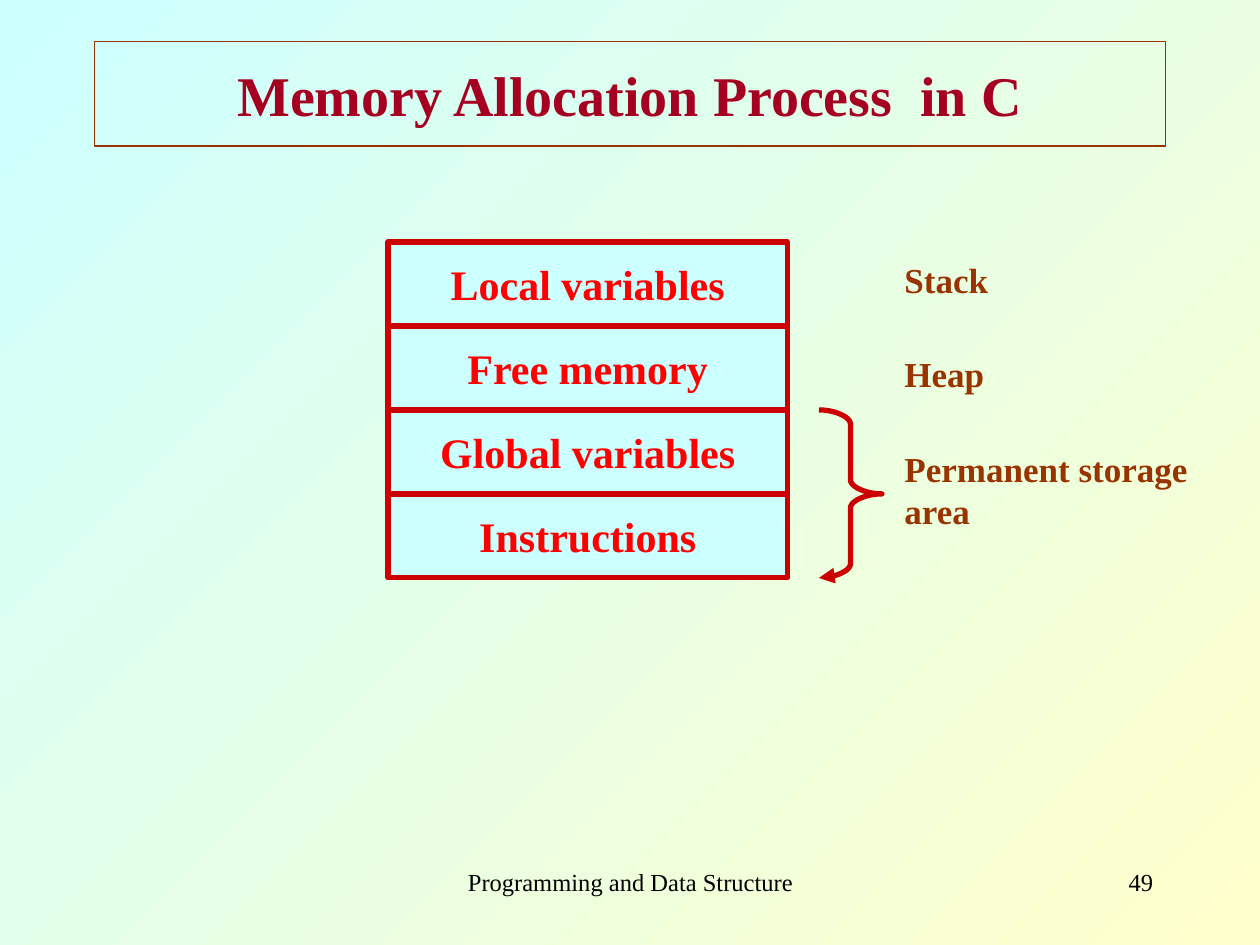
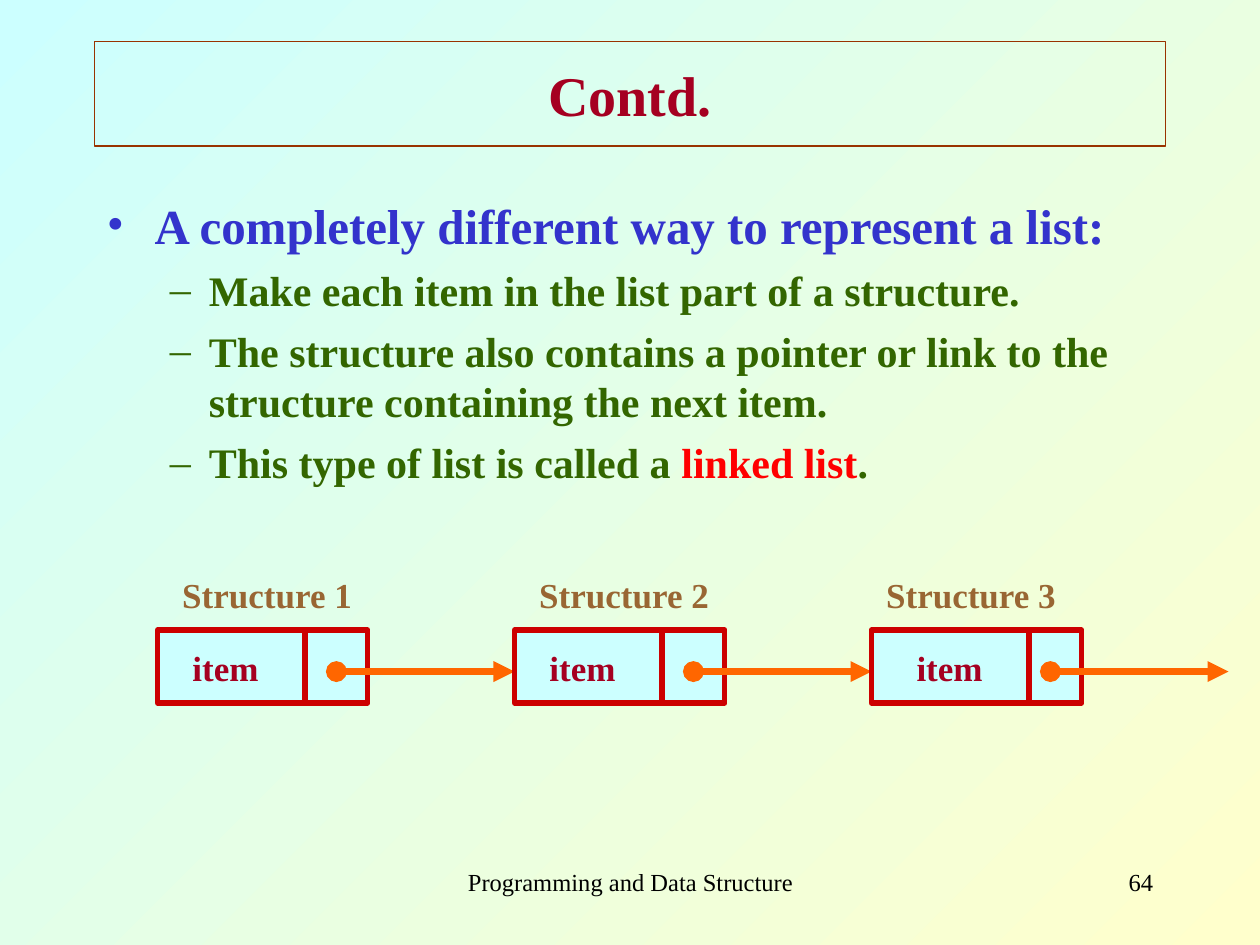
from dataclasses import dataclass

from lxml.etree import SubElement
from pptx import Presentation
from pptx.dml.color import RGBColor
from pptx.enum.shapes import MSO_CONNECTOR, MSO_SHAPE
from pptx.enum.text import MSO_ANCHOR as Anchor, MSO_AUTO_SIZE as AutoSize, PP_ALIGN as Align
from pptx.oxml.ns import qn
from pptx.util import Inches, Pt

FONT = "Times New Roman"
AQUA = RGBColor(0xCC, 0xFF, 0xFF)
CREAM = RGBColor(0xFF, 0xFF, 0xCC)
BLACK = RGBColor(0x00, 0x00, 0x00)
CRIMSON = RGBColor(0xA5, 0x00, 0x21)
DARK_RED = RGBColor(0xCC, 0x00, 0x00)
RED = RGBColor(0xFF, 0x00, 0x00)
RUST = RGBColor(0x99, 0x33, 0x00)
BROWN = RGBColor(0x99, 0x66, 0x33)
ORANGE = RGBColor(0xFF, 0x66, 0x00)
BLUE = RGBColor(0x33, 0x33, 0xCC)
GREEN = RGBColor(0x33, 0x66, 0x00)

FOOTER = "Programming and Data Structure"
TITLE_ONLY = 5


@dataclass(frozen=True)
class Area:
    left: float
    top: float
    width: float
    height: float

    def lengths(self) -> list:
        return [Inches(v) for v in (self.left, self.top, self.width, self.height)]


@dataclass(frozen=True)
class TextStyle:
    size: int
    color: RGBColor
    bold: bool = True
    align: Align = Align.LEFT


@dataclass(frozen=True)
class BulletStyle:
    mark: str
    margin: float
    hang: float
    before: int
    text: TextStyle


@dataclass(frozen=True)
class ListNode:
    """Offsets are measured from the left edge of the node's box."""
    name: str
    name_offset: float = -0.17
    item_offset: float = 0
    divider_offset: float = 1.17


TITLE = TextStyle(32, CRIMSON, align=Align.CENTER)
FOOTER_TEXT = TextStyle(14, BLACK, False, Align.CENTER)
PAGE_NUMBER = TextStyle(14, BLACK, False, Align.RIGHT)
SEGMENT = TextStyle(24, RED, align=Align.CENTER)
REGION = TextStyle(20, RUST)
NODE_NAME = TextStyle(20, BROWN, align=Align.CENTER)
NODE_ITEM = TextStyle(20, CRIMSON, align=Align.CENTER)
POINT = BulletStyle("•", 0.38, 0.38, 7, TextStyle(28, BLUE))
SUBPOINT = BulletStyle("–", 0.81, 0.31, 6, TextStyle(24, GREEN))

SEGMENTS = ["Local variables", "Free memory", "Global variables", "Instructions"]
REGIONS = [
    ("Stack", Area(7.08, 2, 2.67, 0.44)),
    ("Heap", Area(7.08, 2.75, 2.67, 0.44)),
    ("Permanent storage area", Area(7.08, 3.5, 2.67, 0.77)),
]
POINTS = [
    (POINT, [("A completely different way to represent a list:", BLUE)]),
    (SUBPOINT, [("Make each item in the list part of a structure.", GREEN)]),
    (SUBPOINT, [("The structure also contains a pointer or link to the "
                 "structure containing the next item.", GREEN)]),
    (SUBPOINT, [("This type of list is called a ", GREEN), ("linked list", RED), (".", GREEN)]),
]
NODES = [
    ListNode("Structure 1"),
    ListNode("Structure 2"),
    ListNode("Structure 3", -0.25, 0.08, 1.25),
]


def add_span(para, text: str, style: TextStyle, color: RGBColor) -> None:
    span = para.add_run()
    span.text = text
    formats = {"name": FONT, "size": Pt(style.size), "bold": style.bold}
    for name, value in formats.items():
        setattr(span.font, name, value)
    span.font.color.rgb = color


def write(frame, text: str, style: TextStyle, **formats) -> None:
    """Fill a text frame with one paragraph; formats are frame attributes."""
    for name, value in ({"word_wrap": True, "auto_size": AutoSize.NONE} | formats).items():
        setattr(frame, name, value)
    para = frame.paragraphs[0]
    para.alignment = style.align
    add_span(para, text, style, style.color)


def add_label(shapes, area: Area, text: str, style: TextStyle) -> None:
    write(shapes.add_textbox(*area.lengths()).text_frame, text, style)


def add_box(shapes, area: Area):
    box = shapes.add_shape(MSO_SHAPE.RECTANGLE, *area.lengths())
    box.shadow.inherit = False
    box.fill.solid()
    box.fill.fore_color.rgb = AQUA
    set_line(box, DARK_RED, 3)
    return box


def set_line(shape, color: RGBColor, width: float, head: str = "", tail: str = "") -> None:
    shape.line.color.rgb = color
    shape.line.width = Pt(width)
    for tag, kind in (("a:headEnd", head), ("a:tailEnd", tail)):
        if kind:
            SubElement(shape.line._get_or_add_ln(), qn(tag), type=kind)


def add_line(shapes, start: tuple, end: tuple, color: RGBColor, width: float,
             head: str = "", tail: str = "") -> None:
    ends = [Inches(v) for v in (*start, *end)]
    line = shapes.add_connector(MSO_CONNECTOR.STRAIGHT, *ends)
    set_line(line, color, width, head, tail)
    SubElement(line._element.spPr, qn("a:effectLst"))


def bezier(*controls: tuple, steps: int = 12) -> list:
    """Points along a cubic curve with four control points."""
    weights = [((1 - t) ** 3, 3 * t * (1 - t) ** 2, 3 * t * t * (1 - t), t ** 3)
               for t in (step / steps for step in range(steps + 1))]
    return [tuple(sum(w * c[axis] for w, c in zip(row, controls)) for axis in (0, 1))
            for row in weights]


def add_brace(shapes, area: Area) -> None:
    """Right brace whose lower half mirrors the upper; an arrowhead ends it."""
    left, top = area.left, area.top
    middle, right = left + area.width / 2, left + area.width
    tip, bend = top + area.height / 2, area.height / 12
    quarter = area.width / 4
    upper = bezier((left, top), (left + quarter, top),
                   (middle, top + bend / 2), (middle, top + bend))
    upper += bezier((middle, tip - bend), (middle, tip - bend / 2),
                    (right - quarter, tip), (right, tip))
    lower = [(x, 2 * tip - y) for x, y in reversed(upper[:-1])]
    points = [(Inches(x), Inches(y)) for x, y in upper + lower]
    builder = shapes.build_freeform(*points[0])
    builder.add_line_segments(points[1:], close=False)
    brace = builder.convert_to_shape()
    brace.shadow.inherit = False
    brace.fill.background()
    set_line(brace, DARK_RED, 3, tail="triangle")


def add_page(deck, title: str, number: int):
    page = deck.slides.add_slide(deck.slide_layouts[TITLE_ONLY])
    heading = page.shapes.title
    area = Area(0.75, 0.33, 8.5, 0.83).lengths()
    for name, value in zip(("left", "top", "width", "height"), area):
        setattr(heading, name, value)
    set_line(heading, RUST, 0.75)
    write(heading.text_frame, title, TITLE, vertical_anchor=Anchor.MIDDLE)
    add_label(page.shapes, Area(3.42, 6.83, 3.17, 0.5), FOOTER, FOOTER_TEXT)
    add_label(page.shapes, Area(7.17, 6.83, 2.08, 0.5), str(number), PAGE_NUMBER)
    return page


def add_bullets(shapes, area: Area) -> None:
    frame = shapes.add_textbox(*area.lengths()).text_frame
    frame.word_wrap = True
    for index, (style, spans) in enumerate(POINTS):
        para = frame.add_paragraph() if index else frame.paragraphs[0]
        if index:
            para.space_before = Pt(style.before)
        para.level = int(style is SUBPOINT)
        properties = para._p.get_or_add_pPr()
        properties.set("marL", str(Inches(style.margin)))
        properties.set("indent", str(-Inches(style.hang)))
        tint = SubElement(properties, qn("a:buClr"))
        SubElement(tint, qn("a:srgbClr"), val=str(style.text.color))
        SubElement(properties, qn("a:buFont"), typeface=FONT)
        SubElement(properties, qn("a:buChar"), char=style.mark)
        for text, color in spans:
            add_span(para, text, style.text, color)


def add_node(shapes, node: ListNode, left: float, pitch: float) -> None:
    top, height, link_y, link_offset = 5, 0.58, 5.33, 1.42
    group = shapes.add_group_shape().shapes
    add_box(group, Area(left, top, 1.67, height))
    add_label(group, Area(left + node.name_offset, 4.5, 2.08, 0.44), node.name, NODE_NAME)
    add_label(group, Area(left + node.item_offset, 5.08, 1.08, 0.44), "item", NODE_ITEM)
    divider = left + node.divider_offset
    add_line(group, (divider, top), (divider, top + height), DARK_RED, 3)
    add_line(group, (left + link_offset, link_y), (left + pitch, link_y),
             ORANGE, 4, "oval", "triangle")


def build_memory_page(deck) -> None:
    shapes = add_page(deck, "Memory Allocation Process  in C", 49).shapes
    top, height = 1.92, 2 / 3
    for row, name in enumerate(SEGMENTS):
        box = add_box(shapes, Area(3.08, top + row * height, 3.17, height))
        write(box.text_frame, name, SEGMENT, vertical_anchor=Anchor.MIDDLE, word_wrap=False)
    add_brace(shapes, Area(6.5, top + 2 * height, 0.5, 2 * height))
    for text, area in REGIONS:
        add_label(shapes, area, text, REGION)


def build_list_page(deck) -> None:
    shapes = add_page(deck, "Contd.", 64).shapes
    add_bullets(shapes, Area(0.75, 1.5, 8.5, 5.17))
    first, last = 1.25, 9.75
    pitch = (last - first) / len(NODES)
    for index, node in enumerate(NODES):
        add_node(shapes, node, first + index * pitch, pitch)


def set_background(deck) -> None:
    fill = deck.slide_master.background.fill
    fill.gradient()
    fill.gradient_angle = 315
    for stop, color, position in zip(fill.gradient_stops, (AQUA, CREAM), (0, 1)):
        stop.color.rgb = color
        stop.position = position


def main() -> None:
    deck = Presentation()
    deck.slide_width, deck.slide_height = Inches(10), Inches(7.5)
    set_background(deck)
    build_memory_page(deck)
    build_list_page(deck)
    deck.save("out.pptx")


if __name__ == "__main__":
    main()
